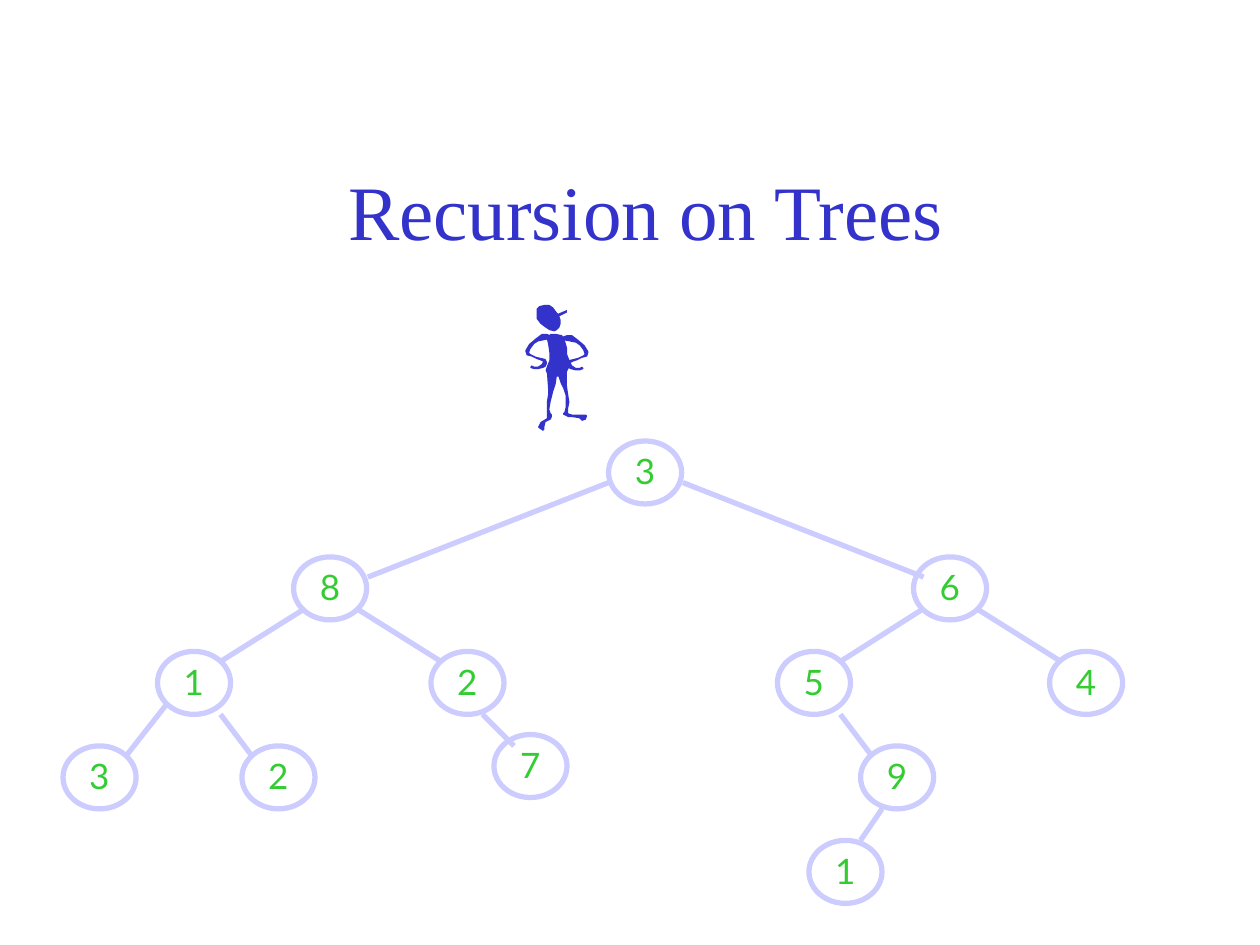
from lxml import etree
from pptx import Presentation
from pptx.dml.color import RGBColor
from pptx.enum.shapes import MSO_CONNECTOR, MSO_SHAPE
from pptx.enum.text import MSO_ANCHOR, MSO_AUTO_SIZE, PP_ALIGN
from pptx.oxml.ns import qn
from pptx.util import Pt

PX = 9144  # EMU per px, 100 px to the inch
TITLE_ONLY = 5
ELLIPSE = MSO_SHAPE.OVAL
STRAIGHT = MSO_CONNECTOR.STRAIGHT
TOP = MSO_ANCHOR.TOP
CENTER, LEFT = PP_ALIGN.CENTER, PP_ALIGN.LEFT
FIT_SHAPE = MSO_AUTO_SIZE.SHAPE_TO_FIT_TEXT

BLUE = RGBColor(0x33, 0x33, 0xCC)
LAVENDER = RGBColor(0xCC, 0xCC, 0xFF)
GREEN = RGBColor(0x33, 0xCC, 0x33)

NODE_WIDTH, NODE_HEIGHT = 58, 50

# Left, top and value of each node, relative to the tree
NODES = [
    (433, 0, 3),
    (183, 92, 8), (75, 167, 1), (0, 242, 3), (142, 242, 2),
    (292, 167, 2), (342, 233, 7),
    (675, 92, 6), (567, 167, 5), (633, 242, 9), (783, 167, 4),
    (592, 317, 1),
]

# Start and end of each edge, relative to the tree
EDGES = [
    (433, 33, 242, 108), (233, 133, 300, 175), (333, 217, 358, 242),
    (192, 133, 125, 175), (125, 217, 150, 250), (83, 208, 50, 250),
    (492, 33, 683, 108), (725, 133, 792, 175), (683, 133, 617, 175),
    (617, 217, 642, 250), (650, 292, 633, 317),
]

# Outlines of the standing figure, relative to its box
HEAD = [
    (25, 6), (22, 2), (19, 0), (15, 0), (11, 1), (9, 3), (9, 6), (9, 11),
    (12, 15), (16, 18), (19, 20), (23, 21), (25, 20), (27, 18), (28, 15),
    (28, 12), (27, 9), (33, 6), (33, 4), (26, 7),
]
LEFT_ARM = [
    (20, 24), (17, 23), (13, 23), (9, 26), (3, 31), (0, 36), (0, 37),
    (1, 40), (5, 41), (9, 43), (12, 44), (14, 45), (13, 47), (10, 49),
    (7, 49), (5, 48), (4, 49), (4, 50), (7, 51), (10, 51), (14, 50),
    (16, 49), (17, 47), (17, 45), (16, 43), (12, 42), (8, 41), (4, 39),
    (3, 38), (4, 35), (7, 31), (10, 29), (15, 28), (20, 27), (20, 25),
]
RIGHT_ARM = [(50 - x, y + 1) for x, y in LEFT_ARM]
BODY = [
    (33, 34), (31, 27), (29, 24), (24, 23), (20, 23), (17, 27), (18, 31),
    (19, 38), (19, 44), (17, 49), (16, 52), (17, 54), (19, 56), (22, 57),
    (25, 57), (28, 57), (32, 55), (35, 49), (35, 44), (33, 39),
]
LEFT_LEG = [
    (24, 50), (20, 50), (18, 50), (17, 53), (18, 67), (18, 71), (17, 77),
    (17, 84), (17, 90), (12, 93), (10, 97), (11, 98), (14, 100), (15, 99),
    (15, 97), (16, 93), (18, 92), (20, 91), (21, 89), (21, 87), (20, 86),
    (19, 83), (20, 77), (22, 69), (24, 63), (25, 56),
]
RIGHT_LEG = [
    (33, 56), (33, 52), (30, 50), (26, 50), (26, 56), (28, 62), (30, 66),
    (32, 72), (32, 81), (31, 85), (30, 86), (30, 87), (32, 88), (34, 89),
    (37, 89), (43, 90), (45, 92), (48, 91), (49, 88), (48, 87), (37, 87),
    (34, 86), (34, 82), (35, 77), (34, 71), (33, 64), (33, 58),
]
FIGURE = [HEAD, LEFT_ARM, BODY, LEFT_LEG, RIGHT_LEG, RIGHT_ARM]


def scaled(*lengths):
    return [length * PX for length in lengths]


def set_text(shape, text, font_name, size, color, alignment, wrap):
    frame = shape.text_frame
    frame.text = text
    frame.word_wrap = wrap
    frame.auto_size = FIT_SHAPE
    frame.vertical_anchor = TOP
    paragraph = frame.paragraphs[0]
    paragraph.alignment = alignment
    font = paragraph.runs[0].font
    font.name, font.size = font_name, Pt(size)
    font.color.rgb = color


def set_line(shape):
    shape.line.color.rgb = LAVENDER
    shape.line.width = Pt(3)


def place_title(slide, left, top, width, height):
    title = slide.shapes.title
    title.left, title.top, title.width, title.height = scaled(left, top, width, height)
    set_text(title, "Recursion on Trees", "Times New Roman", 44, BLUE, CENTER, False)


def add_figure(slide, left, top):
    group = slide.shapes.add_group_shape()
    for outline in FIGURE:
        builder = group.shapes.build_freeform(*outline[0], scale=PX)
        builder.add_line_segments(outline[1:], close=True)
        part = builder.convert_to_shape(*scaled(left, top))
        part.fill.solid()
        part.fill.fore_color.rgb = BLUE
        part.line.fill.background()
        part.shadow.inherit = False


def add_node(shapes, left, top, value):
    ellipse = shapes.add_shape(ELLIPSE, *scaled(left, top, NODE_WIDTH, NODE_HEIGHT))
    ellipse.fill.background()
    ellipse.shadow.inherit = False
    set_line(ellipse)
    label = shapes.add_textbox(*scaled(left + 11, top + 2, 32, 43))
    set_text(label, str(value), "Lato", 20, GREEN, LEFT, True)


def add_edge(shapes, start_x, start_y, end_x, end_y):
    edge = shapes.add_connector(STRAIGHT, *scaled(start_x, start_y, end_x, end_y))
    set_line(edge)
    etree.SubElement(edge._element.spPr, qn("a:effectLst"))


def add_tree(slide, left, top):
    shapes = slide.shapes.add_group_shape().shapes
    for x, y, value in NODES:
        add_node(shapes, left + x, top + y, value)
    for start_x, start_y, end_x, end_y in EDGES:
        add_edge(shapes, left + start_x, top + start_y, left + end_x, top + end_y)


def main():
    presentation = Presentation()
    presentation.slide_width, presentation.slide_height = scaled(1000, 750)
    slide = presentation.slides.add_slide(presentation.slide_layouts[TITLE_ONLY])
    place_title(slide, 265, 125, 495, 83)
    add_figure(slide, 417, 242)
    add_tree(slide, 50, 350)
    presentation.save("out.pptx")


if __name__ == "__main__":
    main()
